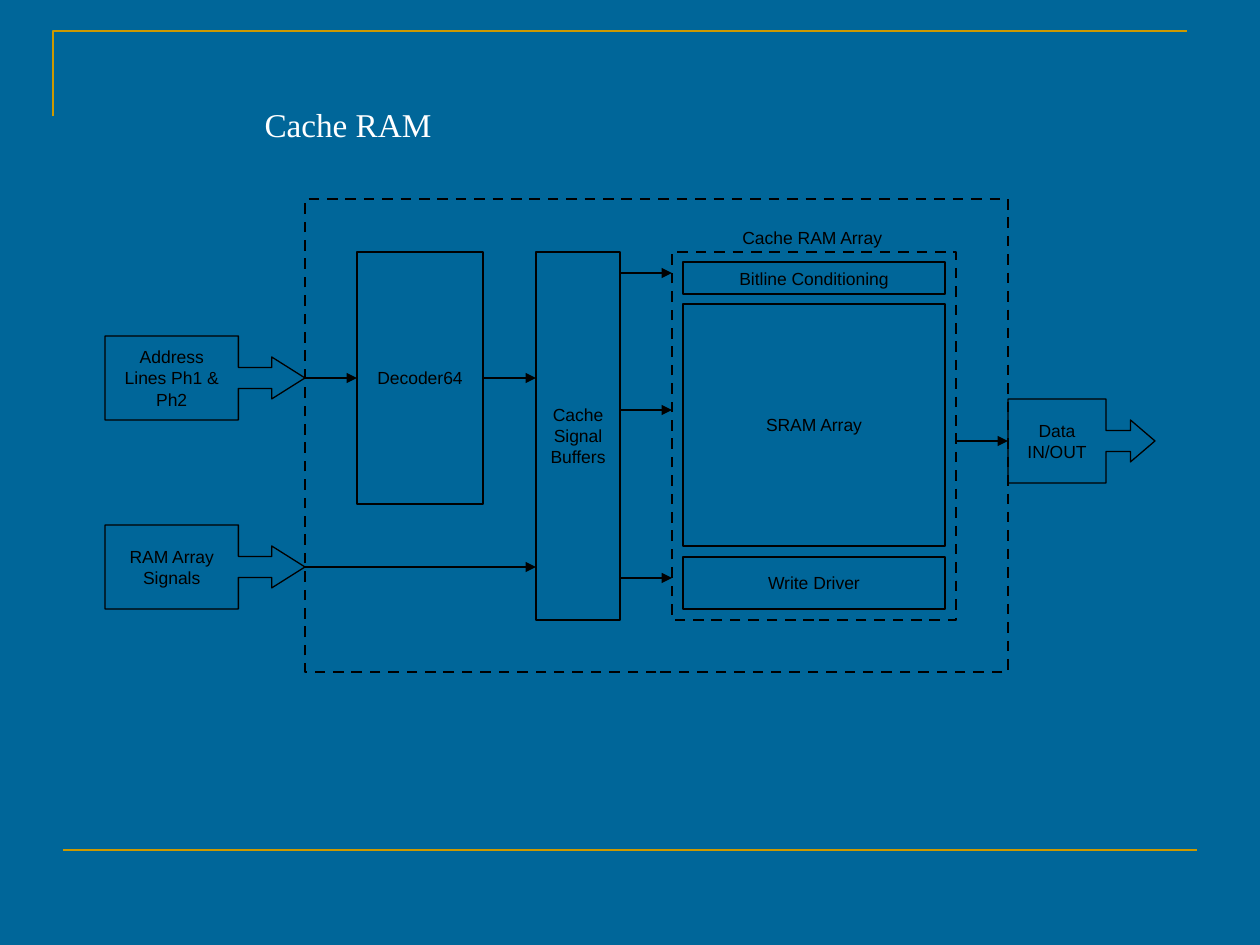
import pptx
import pptx.util
from pptx.dml.color import RGBColor
from pptx.enum.dml import MSO_LINE
from pptx.enum.shapes import MSO_CONNECTOR, MSO_SHAPE
from pptx.enum.text import MSO_ANCHOR, PP_ALIGN
from pptx.oxml.ns import qn
from lxml import etree

BLUE = RGBColor(0x00, 0x66, 0x99)
GOLD = RGBColor(0xCC, 0x99, 0x00)
BLACK = RGBColor(0x00, 0x00, 0x00)
WHITE = RGBColor(0xFF, 0xFF, 0xFF)
EMU_PER_PX = 914400 / 126


def px(*lengths):
    return [pptx.util.Emu(round(length * EMU_PER_PX)) for length in lengths]


def add_rule(shapes, ends, color, width, arrow=False):
    rule = shapes.add_connector(MSO_CONNECTOR.STRAIGHT, *px(*ends))
    rule.line.color.rgb = color
    rule.line.width = pptx.util.Pt(width)
    if arrow:
        etree.SubElement(rule.line._get_or_add_ln(), qn("a:tailEnd"), type="triangle")
    etree.SubElement(rule._element.spPr, qn("a:effectLst"))


deck = pptx.Presentation()
deck.slide_width, deck.slide_height = px(1260, 945)
slide = deck.slides.add_slide(deck.slide_layouts[5])
slide.background.fill.solid()
slide.background.fill.fore_color.rgb = BLUE

corner_path = slide.shapes.build_freeform(53, 116, scale=EMU_PER_PX)
corner_path.add_line_segments([(53, 31), (1187, 31)], close=False)
corner = corner_path.convert_to_shape()
corner.shadow.inherit = False
corner.fill.background()
corner.line.color.rgb = GOLD
corner.line.width = pptx.util.Pt(1.5)
add_rule(slide.shapes, (63, 850, 1197, 850), GOLD, 1.5)

title = slide.shapes.title
title.left, title.top, title.width, title.height = px(252, 101, 254, 62)
title.text_frame.text = "Cache RAM"
title.text_frame.vertical_anchor = MSO_ANCHOR.TOP
heading = title.text_frame.paragraphs[0]
heading.alignment = PP_ALIGN.LEFT
heading.line_spacing = 0.95
heading.font.name = "Times New Roman"
heading.font.size = pptx.util.Pt(19)
heading.font.color.rgb = WHITE

diagram = slide.shapes.add_group_shape().shapes

for bounds in [(305, 199, 703, 473), (672, 252, 284, 368)]:
    boundary = diagram.add_shape(MSO_SHAPE.RECTANGLE, *px(*bounds))
    boundary.shadow.inherit = False
    boundary.fill.background()
    boundary.line.color.rgb = BLACK
    boundary.line.width = pptx.util.Pt(1.5)
    boundary.line.dash_style = MSO_LINE.DASH

blocks = [
    ("Decoder64", (357, 252, 126, 252), None),
    ("Cache Signal Buffers", (536, 252, 84, 368), None),
    ("Address Lines Ph1 & Ph2", (105, 336, 200, 84), 0.396),
    ("RAM Array Signals", (105, 525, 200, 84), 0.396),
    ("Data IN/OUT", (1008, 399, 147, 84), 0.292),
    ("Bitline Conditioning", (683, 262, 262, 32), None),
    ("SRAM Array", (683, 304, 262, 242), None),
    ("Write Driver", (683, 557, 262, 52), None),
]
for label, bounds, head_length in blocks:
    preset = MSO_SHAPE.RIGHT_ARROW_CALLOUT if head_length else MSO_SHAPE.RECTANGLE
    block = diagram.add_shape(preset, *px(*bounds))
    if head_length:
        for index, value in enumerate((0.25, 0.25, head_length, 0.667)):
            block.adjustments[index] = value
    block.shadow.inherit = False
    block.fill.background()
    block.line.color.rgb = BLACK
    block.line.width = pptx.util.Pt(0.75)
    block.text_frame.text = label
    block.text_frame.word_wrap = True
    block.text_frame.vertical_anchor = MSO_ANCHOR.MIDDLE
    caption = block.text_frame.paragraphs[0]
    caption.alignment = PP_ALIGN.CENTER
    caption.font.name = "Arial"
    caption.font.size = pptx.util.Pt(10)
    caption.font.color.rgb = BLACK

signals = [
    (483, 536, 378),
    (620, 672, 410),
    (305, 536, 567),
    (305, 357, 378),
    (956, 1008, 441),
    (620, 672, 578),
    (620, 672, 273),
]
for start, end, level in signals:
    add_rule(diagram, (start, level, end, level), BLACK, 0.75, arrow=True)

array_label = diagram.add_textbox(*px(730, 221, 173, 34))
array_label.text_frame.word_wrap = True
array_label.text_frame.text = "Cache RAM Array"
array_caption = array_label.text_frame.paragraphs[0]
array_caption.font.name = "Arial"
array_caption.font.size = pptx.util.Pt(10)
array_caption.font.color.rgb = BLACK

deck.save("out.pptx")
